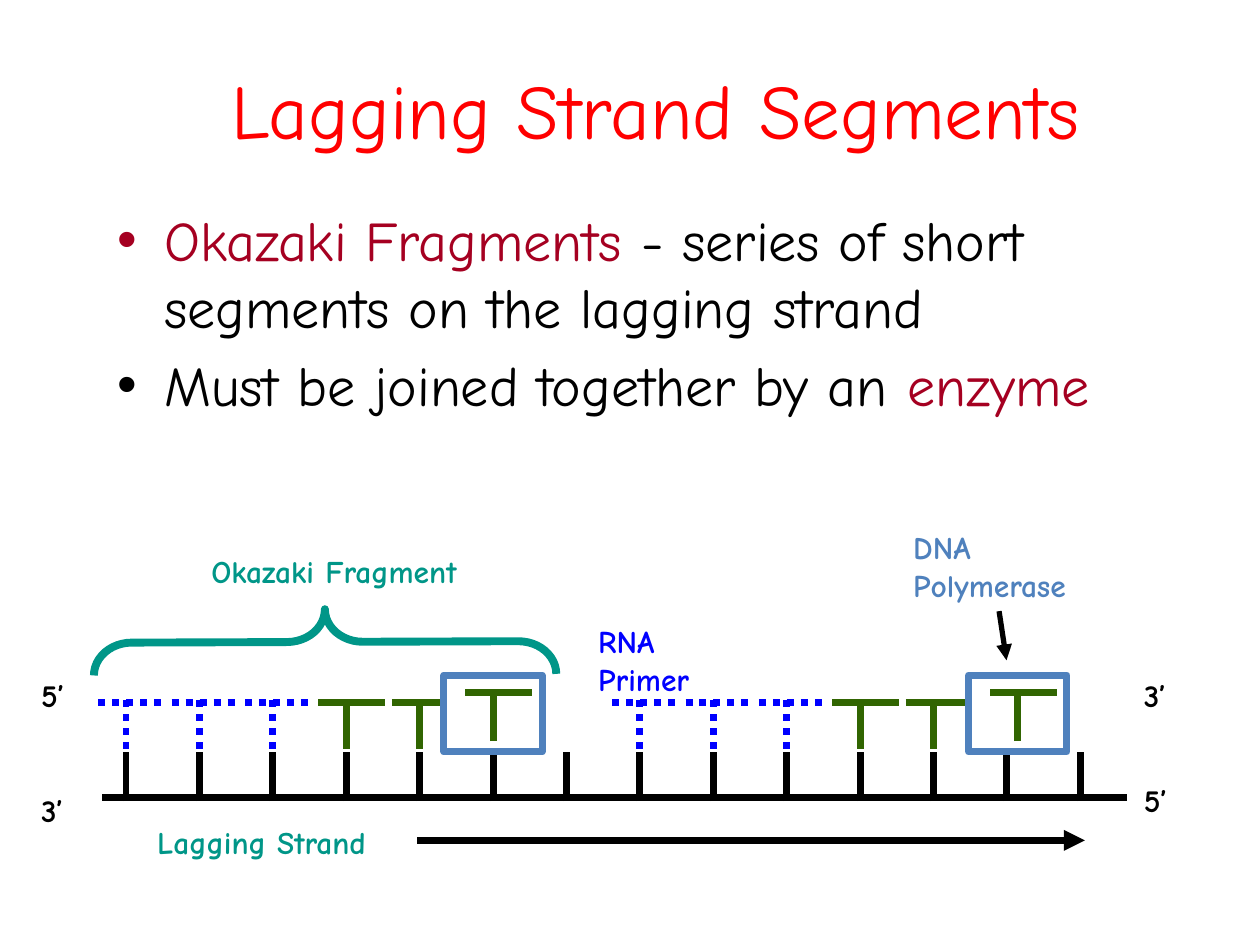
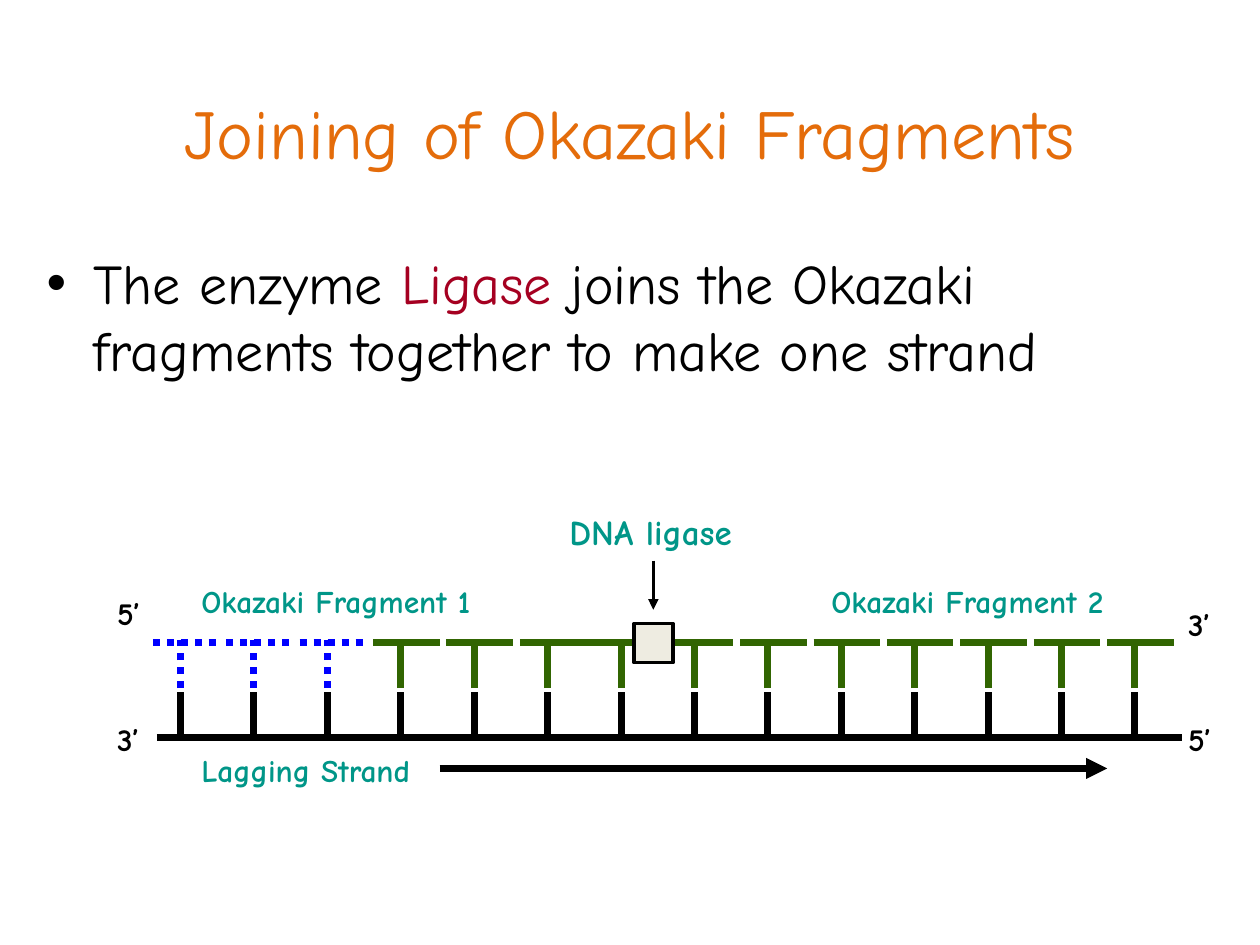
from dataclasses import dataclass

from lxml.etree import SubElement
from pptx import Presentation
from pptx.dml.color import RGBColor
from pptx.enum.dml import MSO_LINE
from pptx.enum.shapes import MSO_CONNECTOR, MSO_SHAPE
from pptx.enum.text import MSO_ANCHOR, PP_ALIGN
from pptx.oxml.ns import qn
from pptx.shapes.autoshape import Shape
from pptx.shapes.connector import Connector
from pptx.slide import Slide
from pptx.util import Cm, Pt

FONT = "Comic Neue"
BLACK = "000000"
WHITE = "FFFFFF"
RED = "FF0000"
ORANGE = "E46C0A"
CRIMSON = "A50021"
TEAL = "009688"
PRIMER_BLUE = "0000FF"
DNA_GREEN = "316501"
POLYMERASE_BLUE = "4F81BD"
LIGASE_FILL = "EEECE1"

PITCH = 1.48
RUNG_COUNT = 14
PRIMER_LENGTH = 3
BAR_START = 0.56
BAR_LENGTH = 1.34
STEM_LENGTH = 0.97
BAR_DROP = 0.05
STEM_RISE = 1.96

Box = tuple[float, float, float, float]
Point = tuple[float, float]
Phrase = tuple[str, str]


@dataclass(frozen=True)
class Label:
    text: str
    left: float
    top: float
    width: float
    color: str = TEAL
    size: int = 18


@dataclass(frozen=True)
class Strand:
    first_x: float
    backbone_y: float

    def rung_x(self, index: int) -> float:
        return self.first_x + index * PITCH

    @property
    def stem_top(self) -> float:
        return self.backbone_y - STEM_RISE


def rgb(color: str) -> RGBColor:
    return RGBColor.from_string(color)


def add_frame(slide: Slide, box: Box):
    frame = slide.shapes.add_textbox(*map(Cm, box)).text_frame
    frame.word_wrap = True
    return frame


def add_title(slide: Slide, text: str, box: Box, color: str, size: int) -> None:
    frame = add_frame(slide, box)
    frame.vertical_anchor = MSO_ANCHOR.MIDDLE
    frame.text = text
    title = frame.paragraphs[0]
    title.alignment = PP_ALIGN.CENTER
    title.font.name = FONT
    title.font.size = Pt(size)
    title.font.color.rgb = rgb(color)


def add_bullets(slide: Slide, box: Box, bullets: list[list[Phrase]]) -> None:
    frame = add_frame(slide, box)
    for index, phrases in enumerate(bullets):
        bullet = frame.add_paragraph() if index else frame.paragraphs[0]
        bullet.font.name = FONT
        bullet.font.size = Pt(32)
        bullet.space_before = Pt(6.4)
        for text, color in phrases:
            run = bullet.add_run()
            run.text = text
            run.font.color.rgb = rgb(color)
        properties = bullet._p.get_or_add_pPr()
        properties.set("marL", str(Cm(0.95)))
        properties.set("indent", str(-Cm(0.95)))
        marker = properties.find(qn("a:defRPr"))
        marker.addprevious(SubElement(properties, qn("a:buFont"), typeface="Arial"))
        marker.addprevious(SubElement(properties, qn("a:buChar"), char="•"))


def add_label(slide: Slide, label: Label) -> None:
    frame = add_frame(slide, (label.left, label.top, label.width, 1.02))
    frame.text = label.text
    for paragraph in frame.paragraphs:
        paragraph.font.name = FONT
        paragraph.font.size = Pt(label.size)
        paragraph.font.bold = True
        paragraph.font.color.rgb = rgb(label.color)


def add_line(
    slide: Slide,
    start: Point,
    end: Point,
    color: str = BLACK,
    width: float = 4,
    dotted: bool = False,
    arrow: bool = False,
) -> Connector:
    connector = slide.shapes.add_connector(
        MSO_CONNECTOR.STRAIGHT, *map(Cm, start), *map(Cm, end)
    )
    connector.line.color.rgb = rgb(color)
    connector.line.width = Pt(width)
    if dotted:
        connector.line.dash_style = MSO_LINE.ROUND_DOT
    properties = connector._element.spPr
    if arrow:
        SubElement(properties.find(qn("a:ln")), qn("a:tailEnd"), type="triangle")
    SubElement(properties, qn("a:effectLst"))
    return connector


def add_box(slide: Slide, box: Box, fill: str, outline: str, width: float) -> Shape:
    enzyme = slide.shapes.add_shape(MSO_SHAPE.RECTANGLE, *map(Cm, box))
    enzyme.shadow.inherit = False
    enzyme.fill.solid()
    enzyme.fill.fore_color.rgb = rgb(fill)
    enzyme.line.color.rgb = rgb(outline)
    enzyme.line.width = Pt(width)
    return enzyme


def add_nucleotide(
    slide: Slide, x: float, top: float, primer: bool = False,
    bar_drop: float = BAR_DROP, bar_start: float = BAR_START,
) -> None:
    color = PRIMER_BLUE if primer else DNA_GREEN
    bar_left, bar_y = x - bar_start, top + bar_drop
    add_line(slide, (x, top + STEM_LENGTH), (x, top), color, dotted=primer)
    add_line(slide, (bar_left, bar_y), (bar_left + BAR_LENGTH, bar_y), color, dotted=primer)


def add_template(slide: Slide, strand: Strand) -> list[Connector]:
    y = strand.backbone_y
    rungs = [
        add_line(slide, (strand.rung_x(i), y + 0.07), (strand.rung_x(i), y - 0.92))
        for i in range(RUNG_COUNT)
    ]
    add_line(slide, (strand.first_x - 0.48, y), (strand.first_x + 20.18, y))
    return rungs


def add_direction_arrow(slide: Slide, left: float, y: float) -> None:
    add_line(slide, (left, y), (left + 13.46, y), arrow=True)


def add_polymerase(slide: Slide, x: float, strand: Strand) -> Shape:
    width, height = 1.98, 1.55
    top = strand.backbone_y - 0.92 - height
    polymerase = add_box(
        slide, (x - width / 2, top, width, height), WHITE, POLYMERASE_BLUE, 4
    )
    add_nucleotide(slide, x, top + 0.36, bar_drop=0)
    return polymerase


def add_brace(slide: Slide, box: Box) -> None:
    brace = slide.shapes.add_shape(MSO_SHAPE.LEFT_BRACE, *map(Cm, box))
    brace.rotation = 89.8
    brace.adjustments[0] = 0.58
    brace.shadow.inherit = False
    brace.fill.background()
    brace.line.color.rgb = rgb(TEAL)
    brace.line.width = Pt(4.5)


def build_segments(slide: Slide) -> None:
    add_title(slide, "Lagging Strand Segments", (2.97, 0.71, 20.52, 2.97), RED, 44)
    add_bullets(slide, (2.11, 4.01, 22.81, 11.43), [
        [("Okazaki Fragments", CRIMSON),
         (" - series of short segments on the lagging strand", BLACK)],
        [("Must be joined together by an ", BLACK), ("enzyme", CRIMSON)],
    ])
    strand = Strand(2.54, 16.08)
    rungs = add_template(slide, strand)
    add_direction_arrow(slide, 8.41, 16.94)
    for fragment_start in (0, 7):
        for offset in range(5):
            add_nucleotide(
                slide, strand.rung_x(fragment_start + offset), strand.stem_top,
                primer=offset < PRIMER_LENGTH,
            )
    attached = add_polymerase(slide, strand.rung_x(5), strand)
    rungs[5].end_connect(attached, 2)
    add_polymerase(slide, strand.rung_x(12) + 0.22, strand)
    add_line(slide, (20.14, 12.32), (20.29, 13.31), width=3, arrow=True)
    add_brace(slide, (5.89, 8.28, 1.32, 9.32))
    for label in (
        Label("Okazaki Fragment", 4.01, 11.0, 6.05),
        Label("RNA\nPrimer", 11.81, 12.42, 2.6, PRIMER_BLUE),
        Label("DNA\nPolymerase", 18.16, 10.52, 4.2, POLYMERASE_BLUE),
        Label("Lagging Strand", 2.92, 16.46, 5.11),
        Label("5’", 0.58, 13.51, 1.22, BLACK),
        Label("3’", 0.58, 15.82, 1.22, BLACK),
        Label("3’", 22.81, 13.51, 1.22, BLACK),
        Label("5’", 22.81, 15.62, 1.22, BLACK),
    ):
        add_label(slide, label)


def build_joining(slide: Slide) -> None:
    add_title(slide, "Joining of Okazaki Fragments", (1.9, 1.07, 21.59, 3.18), ORANGE, 40)
    add_bullets(slide, (0.69, 4.88, 23.8, 6.15), [
        [("The enzyme ", BLACK), ("Ligase", CRIMSON),
         (" joins the Okazaki fragments together to make one strand", BLACK)],
    ])
    strand = Strand(3.64, 14.86)
    add_template(slide, strand)
    add_direction_arrow(slide, 8.86, 15.49)
    fragment_end = 6
    for index in range(RUNG_COUNT):
        add_nucleotide(
            slide, strand.rung_x(index), strand.stem_top,
            primer=index < PRIMER_LENGTH,
            bar_start=1.0 if index == fragment_end else BAR_START,
        )
    add_box(slide, (12.78, 12.57, 0.79, 0.79), LIGASE_FILL, BLACK, 2)
    add_line(slide, (13.17, 11.3), (13.17, 12.29), width=2, arrow=True)
    for label in (
        Label("DNA ligase", 11.23, 10.16, 4.45, size=20),
        Label("Okazaki Fragment 1", 3.81, 11.61, 6.71),
        Label("Okazaki Fragment 2", 16.51, 11.61, 6.71),
        Label("Lagging Strand", 3.81, 15.01, 5.11),
        Label("5’", 2.11, 11.86, 1.22, BLACK),
        Label("3’", 2.11, 14.4, 1.22, BLACK),
        Label("3’", 23.7, 12.07, 1.22, BLACK),
        Label("5’", 23.7, 14.4, 1.22, BLACK),
    ):
        add_label(slide, label)


def main() -> None:
    presentation = Presentation()
    presentation.slide_width = Cm(25.4)
    presentation.slide_height = Cm(19.05)
    blank = presentation.slide_layouts[6]
    for build in (build_segments, build_joining):
        build(presentation.slides.add_slide(blank))
    presentation.save("out.pptx")


if __name__ == "__main__":
    main()
